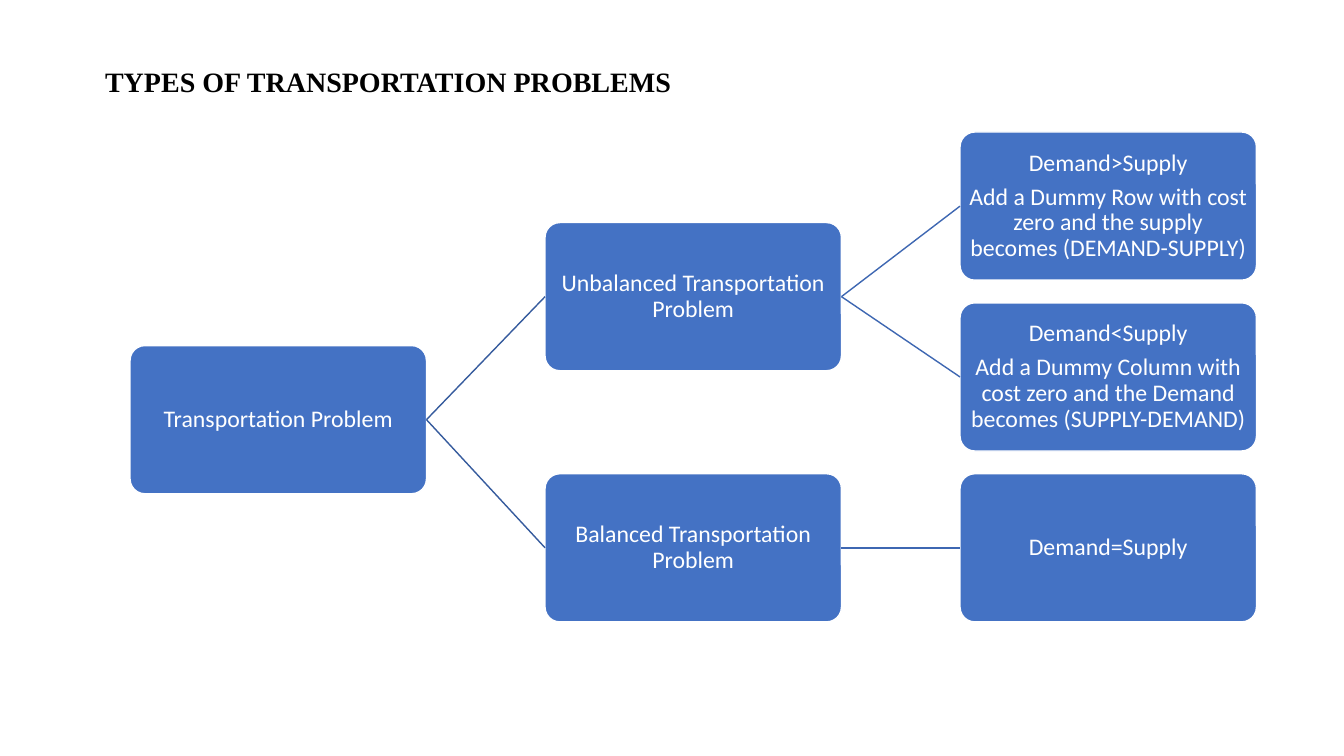
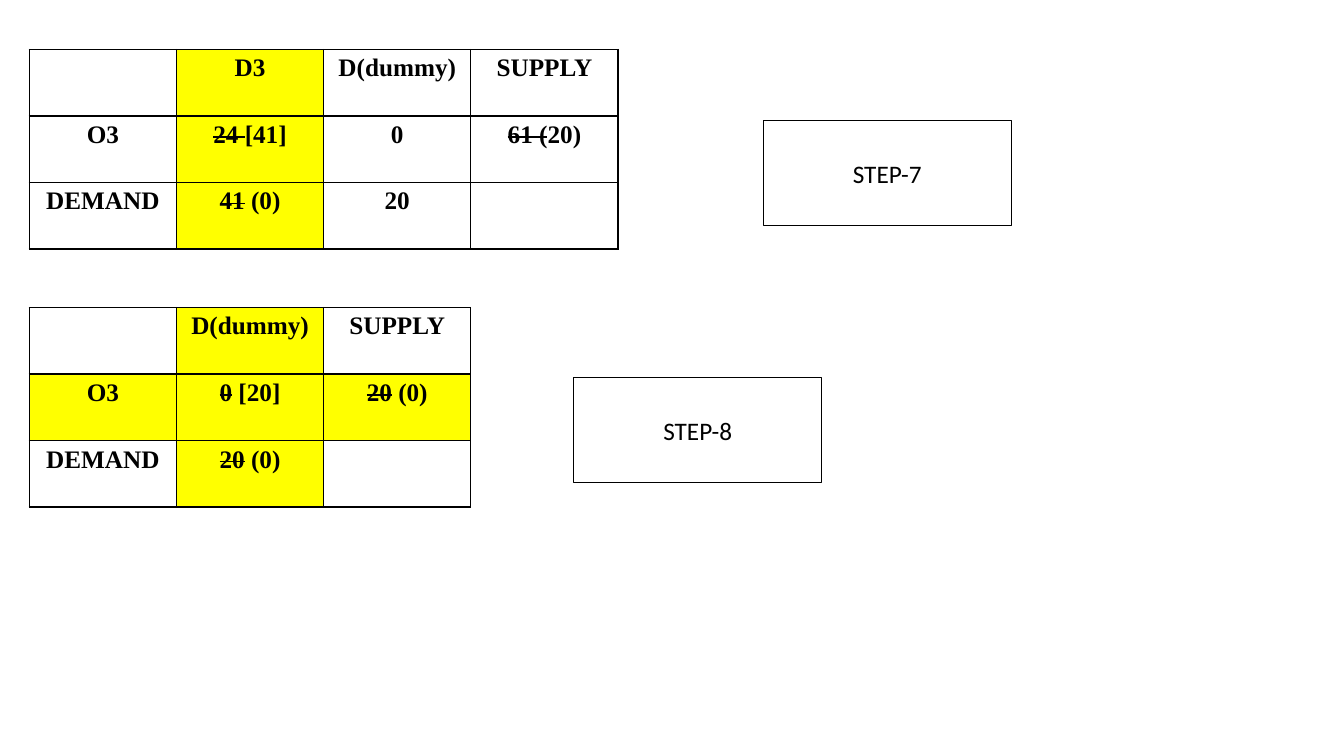
"""Build two slides on types of transportation problems and their final allocation steps."""
from dataclasses import dataclass

from lxml.etree import SubElement
from pptx import Presentation
from pptx.dml.color import RGBColor
from pptx.enum.shapes import MSO_CONNECTOR, MSO_SHAPE
from pptx.enum.text import MSO_ANCHOR, PP_ALIGN
from pptx.oxml.ns import qn
from pptx.util import Inches, Pt


@dataclass(frozen=True)
class Theme:
    """Colours, fonts and type sizes shared by the slides."""
    black: str = "000000"
    white: str = "FFFFFF"
    node: str = "4472C4"
    first_link: str = "365B9D"
    second_link: str = "3E67B2"
    highlight: str = "FFFF00"
    body_font: str = "Calibri"
    heading_font: str = "Times New Roman"
    title_size: int = 20
    node_size: int = 17
    cell_size: int = 18


THEME = Theme()
SLIDE_WIDTH, SLIDE_HEIGHT = 13.33, 7.5
MARGIN = 0.29

NODE_WIDTH, NODE_HEIGHT = 2.94, 1.47
TREE_LEFT, TREE_TOP = 1.29, 1.31
COLUMN_PITCH = NODE_WIDTH * 1.4
ROW_PITCH = NODE_HEIGHT * 1.153
NODE_INSET = 0.05

CELL_WIDTH, CELL_HEIGHT = 1.46, 0.66
STEP_WIDTH, STEP_HEIGHT = 2.46, 1.04

NODES = {
    "root": (0, 1.25, ["Transportation Problem"]),
    "unbalanced": (1, 0.53, ["Unbalanced Transportation Problem"]),
    "balanced": (1, 2, ["Balanced Transportation Problem"]),
    "more demand": (2, 0, [
        "Demand>Supply",
        "Add a Dummy Row with cost zero and the supply becomes (DEMAND-SUPPLY)"]),
    "more supply": (2, 1, [
        "Demand<Supply",
        "Add a Dummy Column with cost zero and the Demand becomes (SUPPLY-DEMAND)"]),
    "equal": (2, 2, ["Demand=Supply"]),
}
LINKS = [
    ("root", "unbalanced", THEME.first_link),
    ("root", "balanced", THEME.first_link),
    ("unbalanced", "more demand", THEME.second_link),
    ("unbalanced", "more supply", THEME.second_link),
    ("balanced", "equal", THEME.second_link),
]
STEP_SEVEN = [
    ["", "D3", "D(dummy)", "SUPPLY"],
    ["O3", "24 |[41]", "0", "61 (|20)"],
    ["DEMAND", "41| (0)", "20", ""],
]
STEP_EIGHT = [
    ["", "D(dummy)", "SUPPLY"],
    ["O3", "0| [20]", "20| (0)"],
    ["DEMAND", "20| (0)", ""],
]


def add_text(paragraph, text, *, size, font, color, bold=False, strike=False):
    """Append one formatted run to a centred paragraph."""
    paragraph.alignment = PP_ALIGN.CENTER
    run = paragraph.add_run()
    run.text = text
    run.font.size = Pt(size)
    run.font.name = font
    run.font.bold = bold
    run.font.color.rgb = RGBColor.from_string(color)
    if strike:
        run.font._element.set("strike", "sngStrike")


def add_box(slide, kind, left, top, width, height, *, line, line_width, fill=None):
    """Add a flat outlined shape whose text is wrapped and centred vertically."""
    shape = slide.shapes.add_shape(
        kind, Inches(left), Inches(top), Inches(width), Inches(height))
    shape.shadow.inherit = False
    if fill:
        shape.fill.solid()
        shape.fill.fore_color.rgb = RGBColor.from_string(fill)
    else:
        shape.fill.background()
    shape.line.color.rgb = RGBColor.from_string(line)
    shape.line.width = Pt(line_width)
    shape.text_frame.word_wrap = True
    shape.text_frame.vertical_anchor = MSO_ANCHOR.MIDDLE
    return shape


def add_title(slide, text):
    """Add the slide title."""
    box = slide.shapes.add_textbox(
        Inches(MARGIN), Inches(MARGIN), Inches(7.12), Inches(1.03))
    frame = box.text_frame
    frame.word_wrap = True
    frame.vertical_anchor = MSO_ANCHOR.MIDDLE
    add_text(frame.paragraphs[0], text, size=THEME.title_size,
             font=THEME.heading_font, color=THEME.black, bold=True)


def add_node(slide, column, row, lines):
    """Add one rounded node of the tree at a grid position."""
    shape = add_box(slide, MSO_SHAPE.ROUNDED_RECTANGLE,
                    TREE_LEFT + column * COLUMN_PITCH, TREE_TOP + row * ROW_PITCH,
                    NODE_WIDTH, NODE_HEIGHT,
                    line=THEME.white, line_width=1, fill=THEME.node)
    shape.adjustments[0] = 0.1
    frame = shape.text_frame
    frame.margin_left = frame.margin_right = Inches(NODE_INSET)
    frame.margin_top = frame.margin_bottom = Inches(NODE_INSET)
    for index, text in enumerate(lines):
        paragraph = frame.add_paragraph() if index else frame.paragraphs[0]
        paragraph.line_spacing = 0.9
        paragraph.space_after = Pt(6)
        add_text(paragraph, text, size=THEME.node_size,
                 font=THEME.body_font, color=THEME.white)
    return shape


def add_link(slide, parent, child, color):
    """Connect the right side of a parent node to the left side of its child."""
    connector = slide.shapes.add_connector(MSO_CONNECTOR.STRAIGHT, 0, 0, 0, 0)
    connector.begin_connect(parent, 3)
    connector.end_connect(child, 1)
    connector.line.color.rgb = RGBColor.from_string(color)
    connector.line.width = Pt(1)
    SubElement(connector._element.spPr, qn("a:effectLst"))


def add_cell_borders(cell):
    """Draw a thin black line on every side of a table cell."""
    properties = cell._tc.get_or_add_tcPr()
    for side in ("a:lnL", "a:lnR", "a:lnT", "a:lnB"):
        border = SubElement(properties, qn(side), w=str(Pt(1)))
        fill = SubElement(border, qn("a:solidFill"))
        SubElement(fill, qn("a:srgbClr"), val=THEME.black)


def fill_cell(cell, text, highlighted):
    """Format a cell, striking through the text before a bar."""
    add_cell_borders(cell)
    if highlighted:
        cell.fill.solid()
        cell.fill.fore_color.rgb = RGBColor.from_string(THEME.highlight)
    else:
        cell.fill.background()
    cell.margin_left = cell.margin_right = Inches(0.11)
    struck, bar, plain = text.rpartition("|")
    for part, strike in ((struck, True), (plain, False)):
        if part:
            add_text(cell.text_frame.paragraphs[0], part, size=THEME.cell_size,
                     font=THEME.heading_font, color=THEME.black,
                     bold=True, strike=strike)


def add_allocation_table(slide, top, rows, *, highlighted_column, highlighted_row=None):
    """Add an allocation table with its chosen column and row highlighted."""
    row_count, column_count = len(rows), len(rows[0])
    table = slide.shapes.add_table(
        row_count, column_count, Inches(MARGIN), Inches(top),
        Inches(CELL_WIDTH * column_count), Inches(CELL_HEIGHT * row_count)).table
    table.first_row = table.horz_banding = False
    for row_index, row in enumerate(rows):
        for column_index, text in enumerate(row):
            highlighted = (column_index == highlighted_column
                           or row_index == highlighted_row)
            fill_cell(table.cell(row_index, column_index), text, highlighted)


def add_step(slide, left, top, text):
    """Add an outlined step label."""
    shape = add_box(slide, MSO_SHAPE.RECTANGLE, left, top, STEP_WIDTH, STEP_HEIGHT,
                    line=THEME.black, line_width=0.75)
    add_text(shape.text_frame.paragraphs[0], text, size=THEME.cell_size,
             font=THEME.body_font, color=THEME.black)


def build_types_slide(slide):
    """Draw the tree of transportation problem types."""
    add_title(slide, "TYPES OF TRANSPORTATION PROBLEMS")
    shapes = {name: add_node(slide, *node) for name, node in NODES.items()}
    for parent, child, color in LINKS:
        add_link(slide, shapes[parent], shapes[child], color)


def build_steps_slide(slide):
    """Draw the last two allocation steps."""
    add_allocation_table(slide, 0.49, STEP_SEVEN, highlighted_column=1)
    add_allocation_table(slide, 3.05, STEP_EIGHT, highlighted_column=1, highlighted_row=1)
    add_step(slide, 7.57, 1.2, "STEP-7")
    add_step(slide, 5.69, 3.75, "STEP-8")


def main():
    """Build and save the presentation."""
    presentation = Presentation()
    presentation.slide_width = Inches(SLIDE_WIDTH)
    presentation.slide_height = Inches(SLIDE_HEIGHT)
    blank = presentation.slide_layouts[6]
    for build in (build_types_slide, build_steps_slide):
        build(presentation.slides.add_slide(blank))
    presentation.save("out.pptx")


if __name__ == "__main__":
    main()
